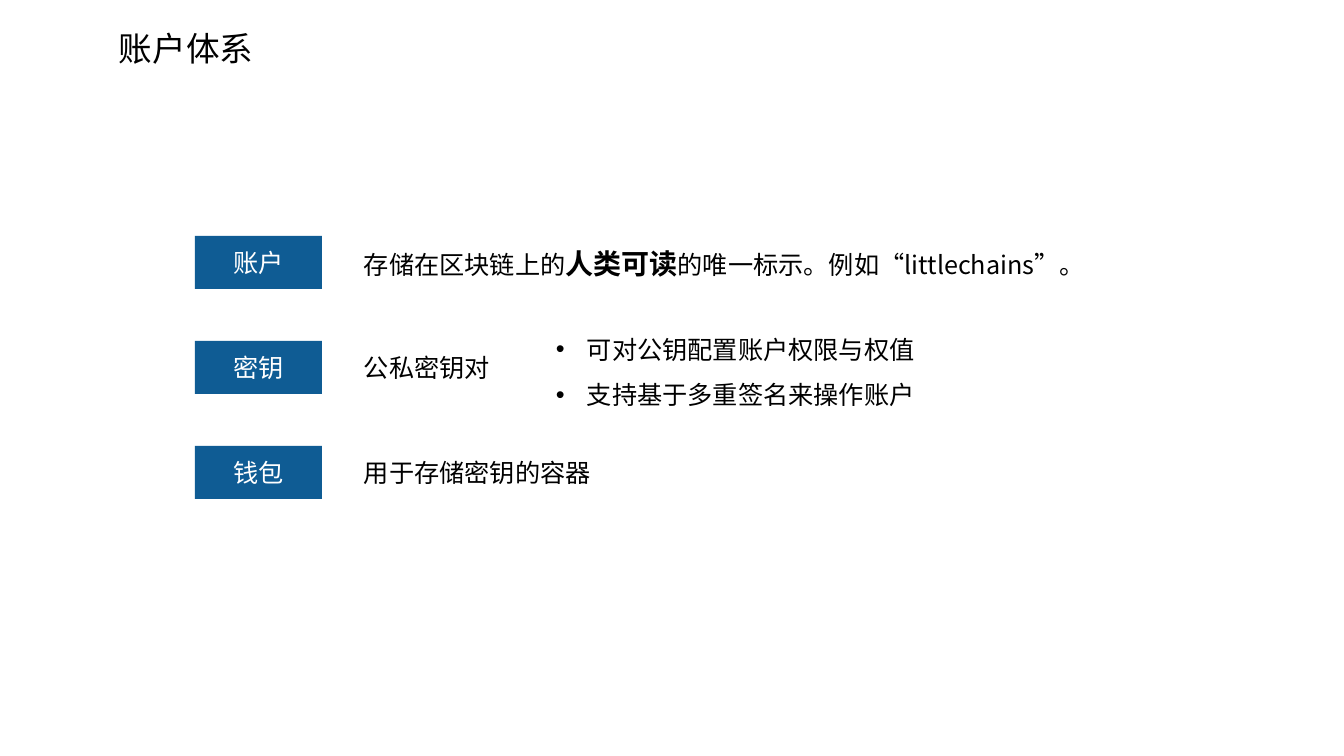
from lxml import etree
from pptx import Presentation
from pptx.dml.color import RGBColor
from pptx.enum.shapes import MSO_SHAPE
from pptx.enum.text import MSO_ANCHOR, PP_ALIGN
from pptx.oxml.ns import qn
from pptx.util import Pt

RECTANGLE = MSO_SHAPE.RECTANGLE
MIDDLE = MSO_ANCHOR.MIDDLE
CENTER = PP_ALIGN.CENTER

# Content: each paragraph is a list of (text, style) spans
TITLE = [[("账户体系", "title")]]
ROWS = [
    # tag, description, description width and height
    ("账户", [("存储在区块链上的", "body"), ("人类可读", "strong"),
            ("的唯一标示。例如“littlechains”。", "body")], 755, 44),
    ("密钥", [("公私密钥对", "body")], 160, 40),
    ("钱包", [("用于存储密钥的容器", "body")], 300, 40),
]
KEY_NOTES = [
    [("可对公钥配置账户权限与权值", "body")],
    [("支持基于多重签名来操作账户", "body")],
]

# Theme
THEME = {
    "font": "Noto Sans CJK SC",
    "tag_fill": RGBColor(0x0F, 0x5C, 0x94),
    "styles": {
        "title": {"size": Pt(24), "bold": False, "color": RGBColor(0, 0, 0)},
        "body": {"size": Pt(18), "bold": False, "color": RGBColor(0, 0, 0)},
        "strong": {"size": Pt(20), "bold": True, "color": RGBColor(0, 0, 0)},
        "tag": {"size": Pt(18), "bold": False, "color": RGBColor(255, 255, 255)},
    },
}

# Layout in px
EMU_PER_PX = 914400 / 100.8
PAGE_SIZE = (1344, 756)
TITLE_BOX = (109, 23, 163, 50)
TAG_LEFT, TAG_WIDTH, TAG_HEIGHT = 195, 127, 53
ROW_TOP, ROW_STEP = 236, 105
TEXT_LEFT, TEXT_DROP = 354, 6
NOTES_BOX = (546, 314, 427, 102)
BULLET_INDENT = 31


def px(*lengths):
    return [round(length * EMU_PER_PX) for length in lengths]


def write(frame, paragraphs, align=None, bullets=False):
    frame.word_wrap = True
    for index, spans in enumerate(paragraphs):
        para = frame.add_paragraph() if index else frame.paragraphs[0]
        para.alignment = align
        if bullets:
            add_bullet(para)
        for text, style in spans:
            span = para.add_run()
            span.text = text
            form = dict(THEME["styles"][style], name=THEME["font"])
            span.font.color.rgb = form.pop("color")
            for name, value in form.items():
                setattr(span.font, name, value)
            # East Asian typeface
            props = span._r.get_or_add_rPr()
            props.set("lang", "zh-CN")
            etree.SubElement(props, qn("a:ea"), typeface=THEME["font"])


def add_bullet(para):
    para.line_spacing = 1.5
    props = para._p.get_or_add_pPr()
    indent, = px(BULLET_INDENT)
    props.set("marL", str(indent))
    props.set("indent", str(-indent))
    etree.SubElement(props, qn("a:buFont"), typeface="Arial")
    etree.SubElement(props, qn("a:buChar"), char="•")


def add_text(page, place, paragraphs, bullets=False):
    box = page.shapes.add_textbox(*px(*place))
    write(box.text_frame, paragraphs, bullets=bullets)


def add_tag(page, place, text):
    tag = page.shapes.add_shape(RECTANGLE, *px(*place))
    tag.shadow.inherit = False
    tag.fill.solid()
    tag.fill.fore_color.rgb = THEME["tag_fill"]
    tag.line.fill.background()
    tag.text_frame.vertical_anchor = MIDDLE
    write(tag.text_frame, [[(text, "tag")]], align=CENTER)


def main():
    deck = Presentation()
    deck.slide_width, deck.slide_height = px(*PAGE_SIZE)
    page = deck.slides.add_slide(deck.slide_layouts[6])

    # Title
    add_text(page, TITLE_BOX, TITLE)

    # Tags with their descriptions
    for index, (tag, spans, width, height) in enumerate(ROWS):
        top = ROW_TOP + index * ROW_STEP
        add_tag(page, (TAG_LEFT, top, TAG_WIDTH, TAG_HEIGHT), tag)
        add_text(page, (TEXT_LEFT, top + TEXT_DROP, width, height), [spans])

    # Notes on the key pair
    add_text(page, NOTES_BOX, KEY_NOTES, bullets=True)

    deck.save("out.pptx")


if __name__ == "__main__":
    main()
